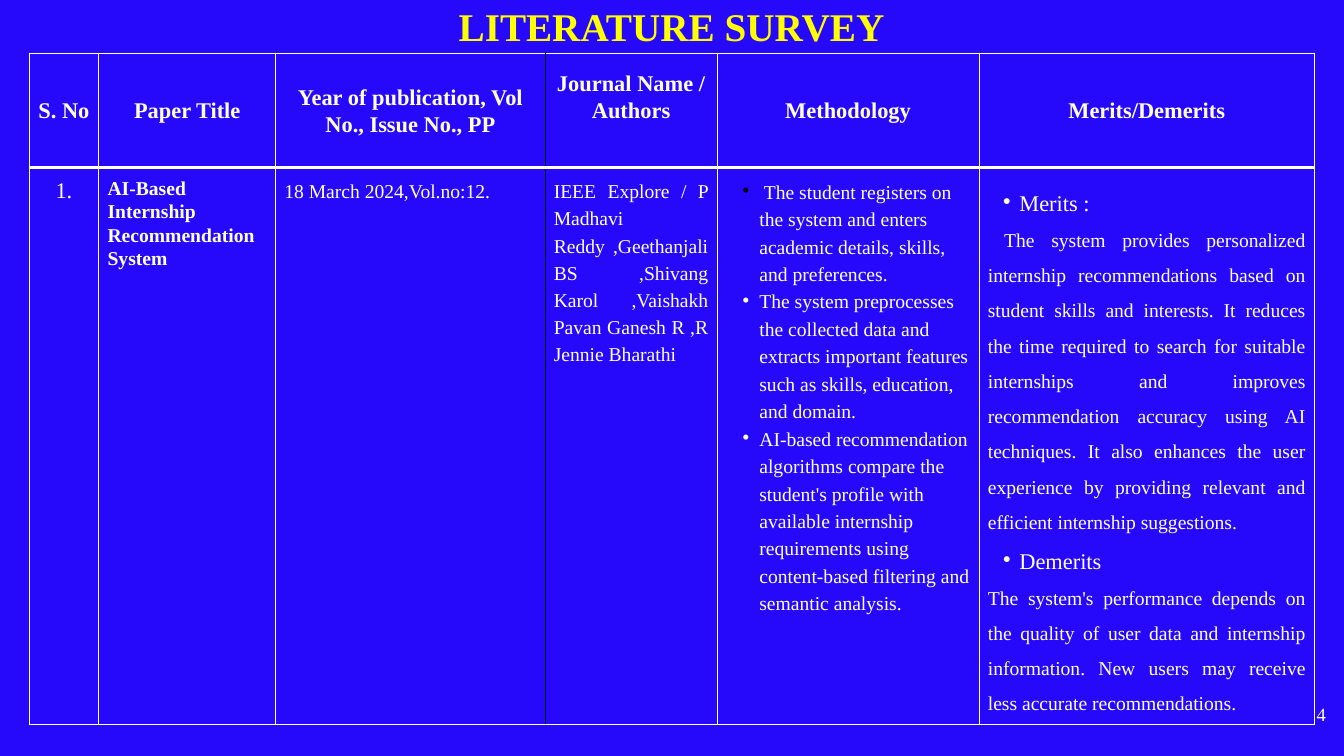
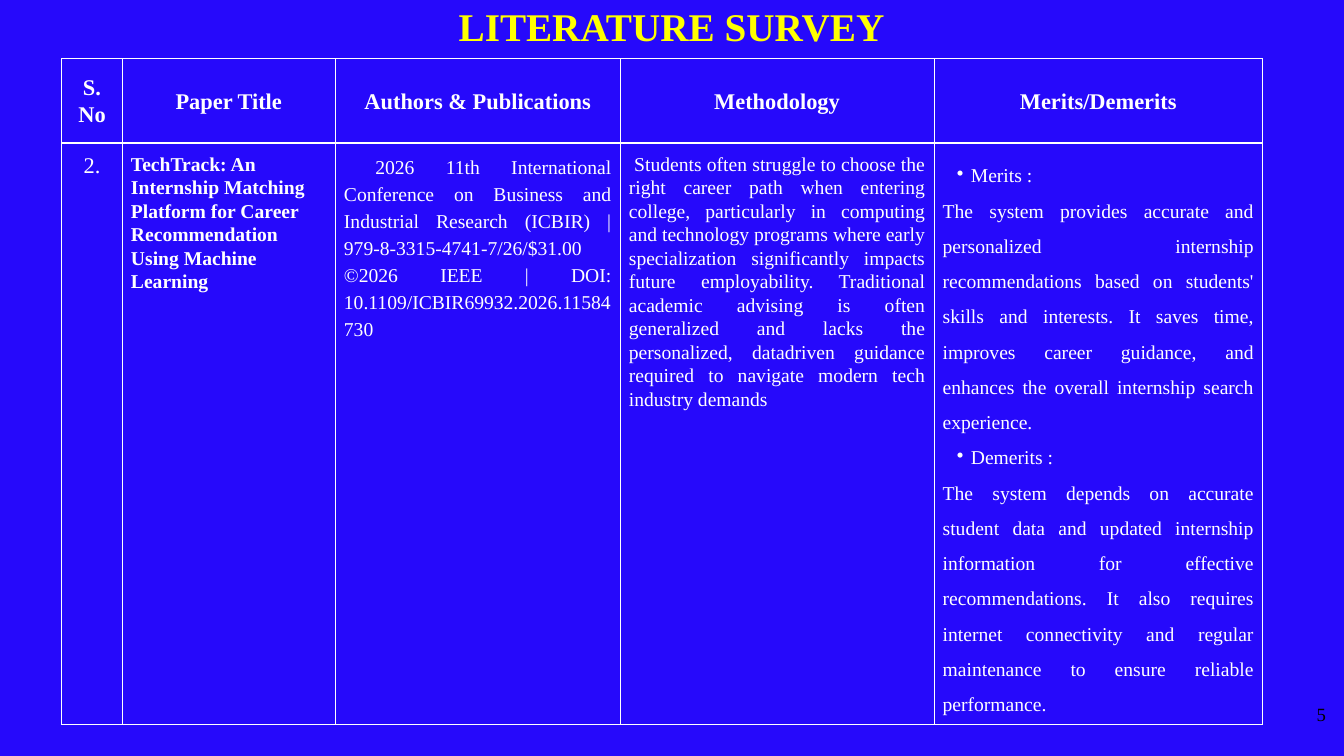
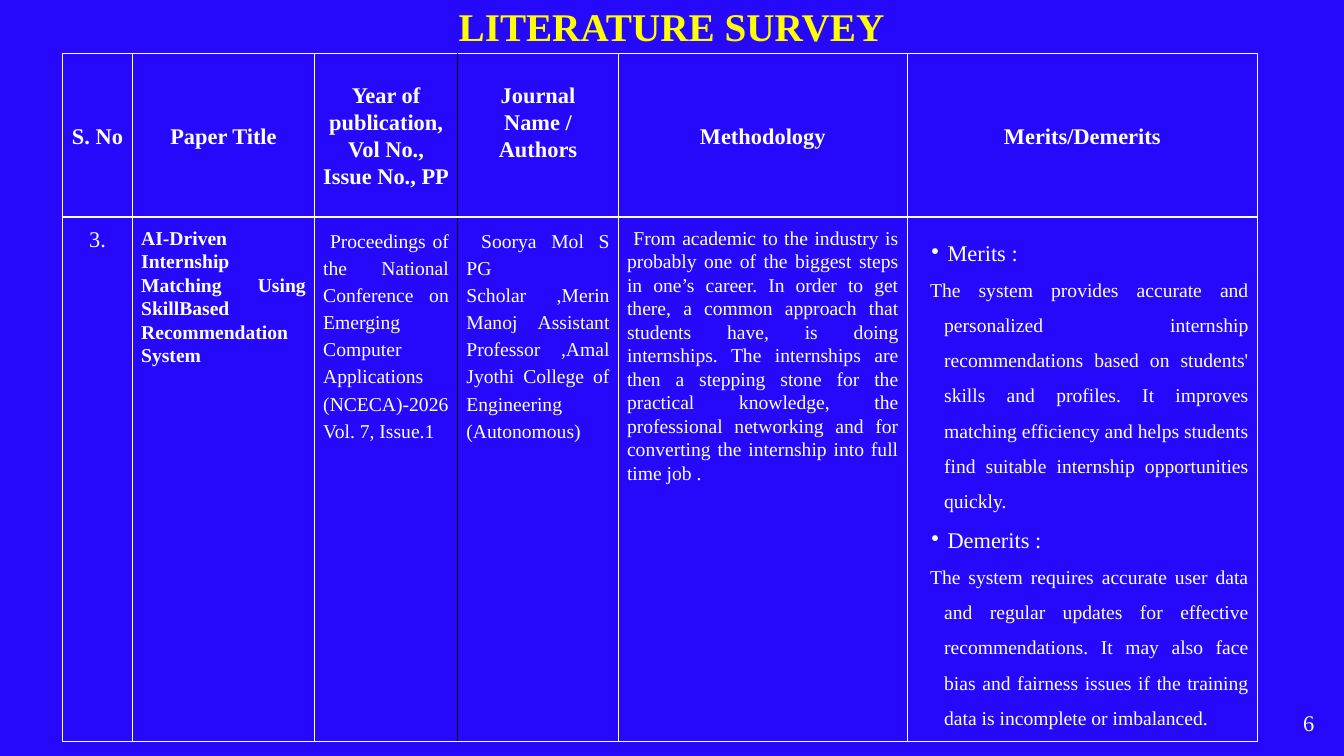
from collections import namedtuple

from lxml import etree
from pptx import Presentation
from pptx.dml.color import RGBColor
from pptx.enum.text import MSO_ANCHOR, MSO_AUTO_SIZE, PP_ALIGN
from pptx.oxml.ns import qn
from pptx.util import Pt

BLUE = RGBColor(0x26, 0x09, 0xFB)
WHITE = RGBColor(0xFF, 0xFF, 0xFF)
YELLOW = RGBColor(0xFF, 0xFF, 0x00)
BLACK = RGBColor(0x00, 0x00, 0x00)
LEFT, CENTER, RIGHT, JUSTIFY = PP_ALIGN.LEFT, PP_ALIGN.CENTER, PP_ALIGN.RIGHT, PP_ALIGN.JUSTIFY
TOP, MIDDLE = MSO_ANCHOR.TOP, MSO_ANCHOR.MIDDLE
NO_AUTOFIT = MSO_AUTO_SIZE.NONE
FONT = "Times New Roman"
CELL_INSET = 9.36
HEADER_LINE = 28.8

Style = namedtuple("Style", "size line align bold margin indent bullet color bullet_color",
                   defaults=(JUSTIFY, False, 0, 0, False, WHITE, None))
TITLE = Style(42, 50.4, CENTER, bold=True, color=YELLOW)
PAGE = Style(20, 24, RIGHT)
HEADER = Style(24, HEADER_LINE, CENTER, bold=True)
NUMBER = Style(24, HEADER_LINE, CENTER)
PAPER = Style(21, 25.2, bold=True)
PUBLICATION = Style(21, 29)
SUMMARY = Style(21, 25.2)
STEP = Style(21, 29.4, LEFT, margin=36, indent=-18, bullet=True)
VERDICT = Style(24, 43.2, margin=33.8, indent=-17.3, bullet=True)
SMALL_VERDICT = Style(21, 37.8, margin=30.2, indent=-15.1, bullet=True)
DETAIL = Style(21, 37.8)
HANGING_DETAIL = DETAIL._replace(margin=30.2, indent=-15.1)

JOURNAL = "Journal Name / Authors"
SIX_HEADERS = ["S. No", "Paper Title", "Year of publication, Vol No., Issue No., PP",
               JOURNAL, "Methodology", "Merits/Demerits"]
FIVE_HEADERS = ["S. No", "Paper Title", "Authors & Publications", "Methodology",
                "Merits/Demerits"]

SURVEYS = [
    {
        "page": ("4", PAGE, (1334.2, 733, 86.4, 63.4)),
        "origin": (31, 56.9),
        "columns": [74.9, 189.4, 288.7, 184.3, 280.8, 359.3],
        "rows": [122.4, 590.4],
        "headers": SIX_HEADERS,
        "black_edge": 3,
        "entry": [
            [(NUMBER, "1.")],
            [(PAPER, "AI-Based Internship Recommendation System")],
            [(PUBLICATION, "18 March 2024,Vol.no:12.")],
            [(PUBLICATION, "IEEE Explore / P Madhavi Reddy ,Geethanjali BS ,Shivang Karol "
                           ",Vaishakh Pavan Ganesh R ,R Jennie Bharathi")],
            [(STEP._replace(bullet_color=BLACK),
              " The student registers on the system and enters academic details, skills, "
              "and preferences."),
             (STEP, "The system preprocesses the collected data and extracts important "
                    "features such as skills, education, and domain."),
             (STEP, "AI-based recommendation algorithms compare the student's profile with "
                    "available internship requirements using content-based filtering and "
                    "semantic analysis.")],
            [(VERDICT, "Merits :"),
             (DETAIL, " The system provides personalized internship recommendations based on "
                      "student skills and interests. It reduces the time required to search "
                      "for suitable internships and improves recommendation accuracy using AI "
                      "techniques. It also enhances the user experience by providing relevant "
                      "and efficient internship suggestions."),
             (VERDICT, "Demerits"),
             (DETAIL, "The system's performance depends on the quality of user data and "
                      "internship information. New users may receive less accurate "
                      "recommendations.")],
        ],
    },
    {
        "page": ("5", PAGE._replace(color=BLACK), (1334.2, 733, 86.4, 63.4)),
        "origin": (66.2, 62.6),
        "columns": [64.8, 228.2, 305.3, 336.2, 352.1],
        "rows": [90.7, 618.5],
        "headers": FIVE_HEADERS,
        "black_edge": None,
        "entry": [
            [(NUMBER, "2.")],
            [(PAPER._replace(align=LEFT), "TechTrack: An Internship Matching Platform for "
                                          "Career Recommendation Using Machine Learning")],
            [(PUBLICATION, " 2026 11th International Conference on Business and Industrial "
                           "Research (ICBIR) | 979-8-3315-4741-7/26/$31.00 ©2026 IEEE | DOI: "
                           "10.1109/ICBIR69932.2026.11584730")],
            [(SUMMARY, " Students often struggle to choose the right career path when entering "
                       "college, particularly in computing and technology programs where early "
                       "specialization significantly impacts future employability. Traditional "
                       "academic advising is often generalized and lacks the personalized, "
                       "datadriven guidance required to navigate modern tech industry demands")],
            [(SMALL_VERDICT, "Merits :"),
             (DETAIL, "The system provides accurate and personalized internship "
                      "recommendations based on students' skills and interests. It saves time, "
                      "improves career guidance, and enhances the overall internship search "
                      "experience."),
             (SMALL_VERDICT, "Demerits :"),
             (DETAIL, "The system depends on accurate student data and updated internship "
                      "information for effective recommendations. It also requires internet "
                      "connectivity and regular maintenance to ensure reliable performance.")],
        ],
    },
    {
        "page": ("6", PAGE._replace(size=24, line=28.8), (1347.8, 742.3, 60.5, 63.4)),
        "origin": (67, 57.6),
        "columns": [74.9, 195.1, 153.4, 172.1, 309.6, 375.1],
        "rows": [175, 562.3],
        "headers": SIX_HEADERS,
        "black_edge": 3,
        "entry": [
            [(NUMBER, "3.")],
            [(PAPER, "AI-Driven Internship Matching Using SkillBased Recommendation System")],
            [(PUBLICATION, " Proceedings of the National Conference on Emerging Computer "
                           "Applications (NCECA)-2026 Vol. 7, Issue.1")],
            [(PUBLICATION, " Soorya Mol S PG Scholar ,Merin Manoj Assistant Professor ,Amal "
                           "Jyothi College of Engineering (Autonomous)")],
            [(SUMMARY, " From academic to the industry is probably one of the biggest steps in "
                       "one’s career. In order to get there, a common approach that students "
                       "have, is doing internships. The internships are then a stepping stone "
                       "for the practical knowledge, the professional networking and for "
                       "converting the internship into full time job .")],
            [(VERDICT, "Merits :"),
             (HANGING_DETAIL, "The system provides accurate and personalized internship "
                              "recommendations based on students' skills and profiles. It "
                              "improves matching efficiency and helps students find suitable "
                              "internship opportunities quickly."),
             (VERDICT, "Demerits :"),
             (HANGING_DETAIL, "The system requires accurate user data and regular updates for "
                              "effective recommendations. It may also face bias and fairness "
                              "issues if the training data is incomplete or imbalanced.")],
        ],
    },
]


def write(text_frame, styled_lines):
    """Fill a text frame with one paragraph for each (style, text) pair."""
    for index, (style, text) in enumerate(styled_lines):
        paragraph = text_frame.add_paragraph() if index else text_frame.paragraphs[0]
        paragraph.text = text
        paragraph.alignment = style.align
        properties = paragraph._p.get_or_add_pPr()
        properties.set("marL", str(Pt(style.margin)))
        properties.set("indent", str(Pt(style.indent)))
        if style.bullet_color is not None:
            bullet_color = etree.SubElement(properties, qn("a:buClr"))
            etree.SubElement(bullet_color, qn("a:srgbClr"), val=str(style.bullet_color))
        if style.bullet:
            etree.SubElement(properties, qn("a:buChar"), char="•")
        paragraph.line_spacing = Pt(style.line)
        paragraph.space_before = Pt(0)
        font = paragraph.font
        font.name, font.size, font.bold = FONT, Pt(style.size), style.bold
        font.color.rgb = style.color


def set_borders(cell, borders):
    """Draw (tag, colour, width) borders, given in the order left, right, top, bottom."""
    properties = cell._tc.get_or_add_tcPr()
    for position, (tag, color, width) in enumerate(borders):
        line = etree.Element(qn(tag), w=str(Pt(width)))
        fill = etree.SubElement(line, qn("a:solidFill"))
        etree.SubElement(fill, qn("a:srgbClr"), val=str(color))
        properties.insert(position, line)


presentation = Presentation()
presentation.slide_width, presentation.slide_height = Pt(1440), Pt(810)
background = presentation.slide_master.background.fill
background.solid()
background.fore_color.rgb = BLUE
title_only = presentation.slide_layouts[5]

for survey in SURVEYS:
    slide = presentation.slides.add_slide(title_only)
    title = slide.shapes.title
    title.left, title.top, title.width, title.height = Pt(472.3), Pt(-2), Pt(494.6), Pt(59)
    number, page_style, page_box = survey["page"]
    page = slide.shapes.add_textbox(*map(Pt, page_box))
    for shape, style, text in ((title, TITLE, "LITERATURE SURVEY"), (page, page_style, number)):
        frame = shape.text_frame
        frame.margin_left = frame.margin_right = frame.margin_top = frame.margin_bottom = 0
        frame.word_wrap = True
        frame.auto_size = NO_AUTOFIT
        frame.vertical_anchor = MIDDLE
        write(frame, [(style, text)])

    columns, rows = survey["columns"], survey["rows"]
    left, top = survey["origin"]
    table = slide.shapes.add_table(len(rows), len(columns), Pt(left), Pt(top),
                                   Pt(sum(columns)), Pt(sum(rows))).table
    table.first_row = table.horz_banding = False
    for column, width in zip(table.columns, columns):
        column.width = Pt(width)
    for row, height in zip(table.rows, rows):
        row.height = Pt(height)

    header_cells = [[(HEADER, header)] for header in survey["headers"]]
    for row_index, contents in enumerate((header_cells, survey["entry"])):
        is_header = row_index == 0
        for column_index, styled_lines in enumerate(contents):
            cell = table.cell(row_index, column_index)
            cell.margin_left = cell.margin_right = Pt(CELL_INSET)
            cell.margin_top = cell.margin_bottom = Pt(CELL_INSET)
            cell.vertical_anchor = MIDDLE if is_header else TOP
            if styled_lines[0][1] == JOURNAL:
                cell.margin_bottom = Pt(CELL_INSET + HEADER_LINE)
            cell.fill.solid()
            cell.fill.fore_color.rgb = BLUE
            write(cell.text_frame, styled_lines)
            edge = survey["black_edge"]
            set_borders(cell, [
                ("a:lnL", BLACK if column_index == edge else WHITE, 1),
                ("a:lnR", BLACK if column_index + 1 == edge else WHITE, 1),
                ("a:lnT", WHITE, 1 if is_header else 3),
                ("a:lnB", WHITE, 3 if is_header else 1),
            ])

presentation.save("out.pptx")
